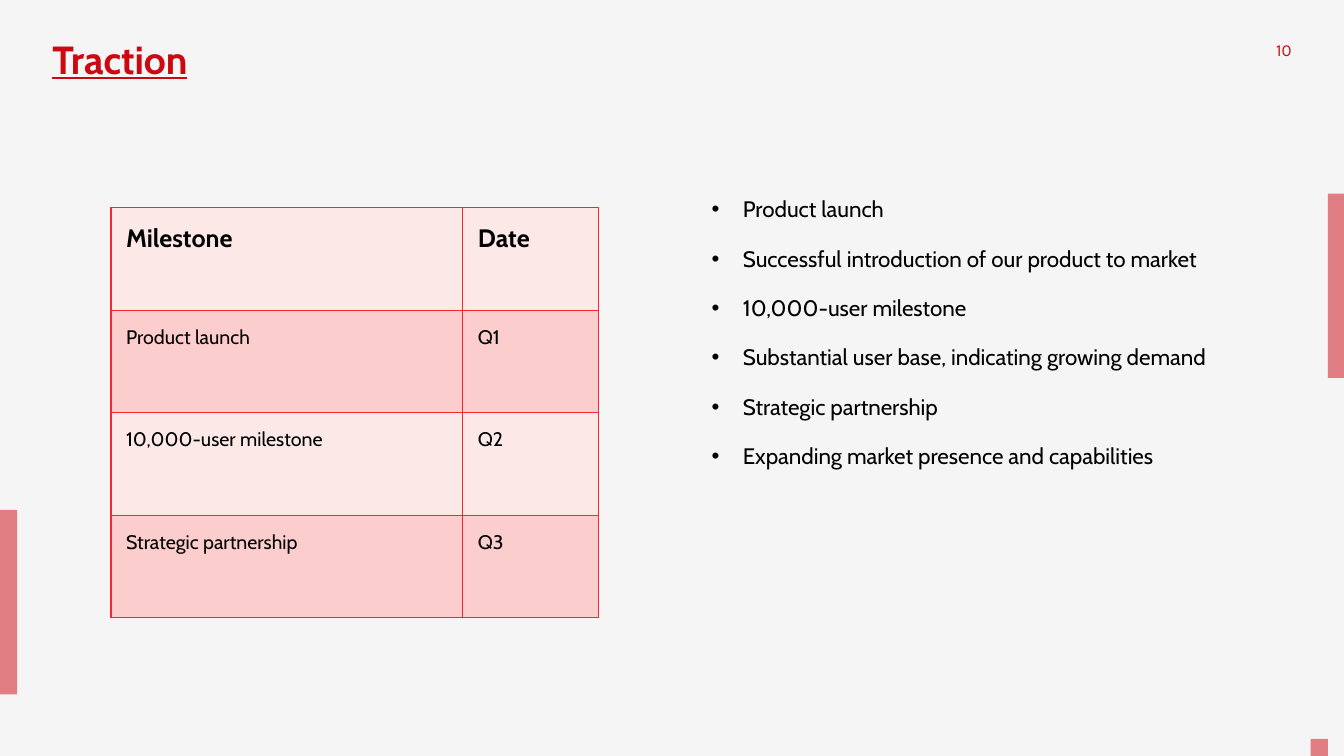
from lxml import etree
from pptx import Presentation
from pptx import util as u
from pptx.dml import color
from pptx.enum import shapes, text
from pptx.oxml import ns

RED, PALE, PINK, BLACK = "CC0912", "FDE8E8", "FBCDCD", "000000"
BORDER = "F52730"
MILESTONES = [
    ("Milestone", "Date"),
    ("Product launch", "Q1"),
    ("10,000-user milestone", "Q2"),
    ("Strategic partnership", "Q3"),
]
POINTS = [
    "Product launch",
    "Successful introduction of our product to market",
    "10,000-user milestone",
    "Substantial user base, indicating growing demand",
    "Strategic partnership",
    "Expanding market presence and capabilities",
]


def paint(target, value):
    target.rgb = color.RGBColor.from_string(value)


def fill(target, value):
    target.fill.solid()
    paint(target.fill.fore_color, value)


def child(parent, tag, **attributes):
    return etree.SubElement(parent, ns.qn(tag), attributes)


def write(para, words, size=16, font="Cabin", ink=BLACK, bold=False,
          underline=False, align=text.PP_ALIGN.LEFT, spacing=1.0, after=0):
    para.alignment = align
    para.line_spacing = spacing
    para.space_before = u.Pt(0)
    para.space_after = u.Pt(after)
    span = para.add_run()
    span.text = words
    span.font.size = u.Pt(size)
    span.font.name = font
    span.font.bold = bold
    span.font.underline = underline
    paint(span.font.color, ink)


class SlideBuilder:
    def __init__(self, deck, background):
        self.slide = deck.slides.add_slide(deck.slide_layouts[5])
        fill(self.slide.background, background)

    def place(self, left, top, width, height):
        return [u.Inches(length) for length in (left, top, width, height)]

    def title(self, words, *area):
        box = self.slide.shapes.title
        box.left, box.top, box.width, box.height = self.place(*area)
        frame = box.text_frame
        frame.word_wrap = True
        frame.auto_size = text.MSO_AUTO_SIZE.NONE
        frame.vertical_anchor = text.MSO_ANCHOR.TOP
        write(frame.paragraphs[0], words, size=28, ink=RED, bold=True,
              underline=True, spacing=0.9)

    def bar(self, *area):
        box = self.slide.shapes.add_shape(
            shapes.MSO_SHAPE.RECTANGLE, *self.place(*area))
        box.shadow.inherit = False
        box.line.fill.background()
        fill(box, RED)
        tint = box.fill._xPr.find(ns.qn("a:solidFill"))[0]
        child(tint, "a:alpha", val="50000")

    def text_box(self, *area):
        frame = self.slide.shapes.add_textbox(*self.place(*area)).text_frame
        frame.word_wrap = True
        return frame

    def page_number(self, words, *area):
        frame = self.text_box(*area)
        frame.margin_bottom = 0
        write(frame.paragraphs[0], words, size=12, font="Karla", ink=RED,
              align=text.PP_ALIGN.RIGHT)

    def bullets(self, points, *area):
        frame = self.text_box(*area)
        indent = u.Inches(0.31)
        for index, words in enumerate(points):
            para = frame.add_paragraph() if index else frame.paragraphs[0]
            write(para, words, spacing=0.9, after=18)
            settings = para._p.get_or_add_pPr()
            settings.set("marL", str(indent))
            settings.set("indent", str(-indent))
            child(settings, "a:buFont", typeface="Arial")
            child(settings, "a:buChar", char="•")

    def cell(self, cell, words, back, **style):
        cell.margin_left = cell.margin_right = u.Inches(0.15)
        cell.margin_top = cell.margin_bottom = u.Inches(0.15)
        settings = cell._tc.get_or_add_tcPr()
        for side in "LRTB":
            line = child(settings, f"a:ln{side}", w=str(u.Pt(1)))
            child(child(line, "a:solidFill"), "a:srgbClr", val=BORDER)
        fill(cell, back)
        write(cell.text_frame.paragraphs[0], words, **style)

    def table(self, rows, widths, *area):
        table = self.slide.shapes.add_table(
            len(rows), len(widths), *self.place(*area)).table
        table.first_row = table.horz_banding = False
        for column, width in zip(table.columns, widths):
            column.width = u.Inches(width)
        for r, row in enumerate(rows):
            for c, words in enumerate(row):
                self.cell(table.cell(r, c), words, PINK if r % 2 else PALE,
                          size=14 if r else 18, bold=r == 0)


def main():
    deck = Presentation()
    deck.slide_width, deck.slide_height = u.Inches(13.33), u.Inches(7.5)
    page = SlideBuilder(deck, "F5F5F5")
    page.bar(13.17, 1.92, 0.17, 1.83)
    page.bar(0, 5.06, 0.17, 1.83)
    page.bar(13, 7.33, 0.17, 0.17)
    page.title("Traction", 0.42, 0.35, 5.48, 1.22)
    page.page_number("10", 12.4, 0.35, 0.51, 0.4)
    page.table(MILESTONES, (3.49, 1.35), 1.1, 2.06, 4.84, 4.07)
    page.bullets(POINTS, 6.96, 1.92, 5.16, 5.25)
    deck.save("out.pptx")


if __name__ == "__main__":
    main()
